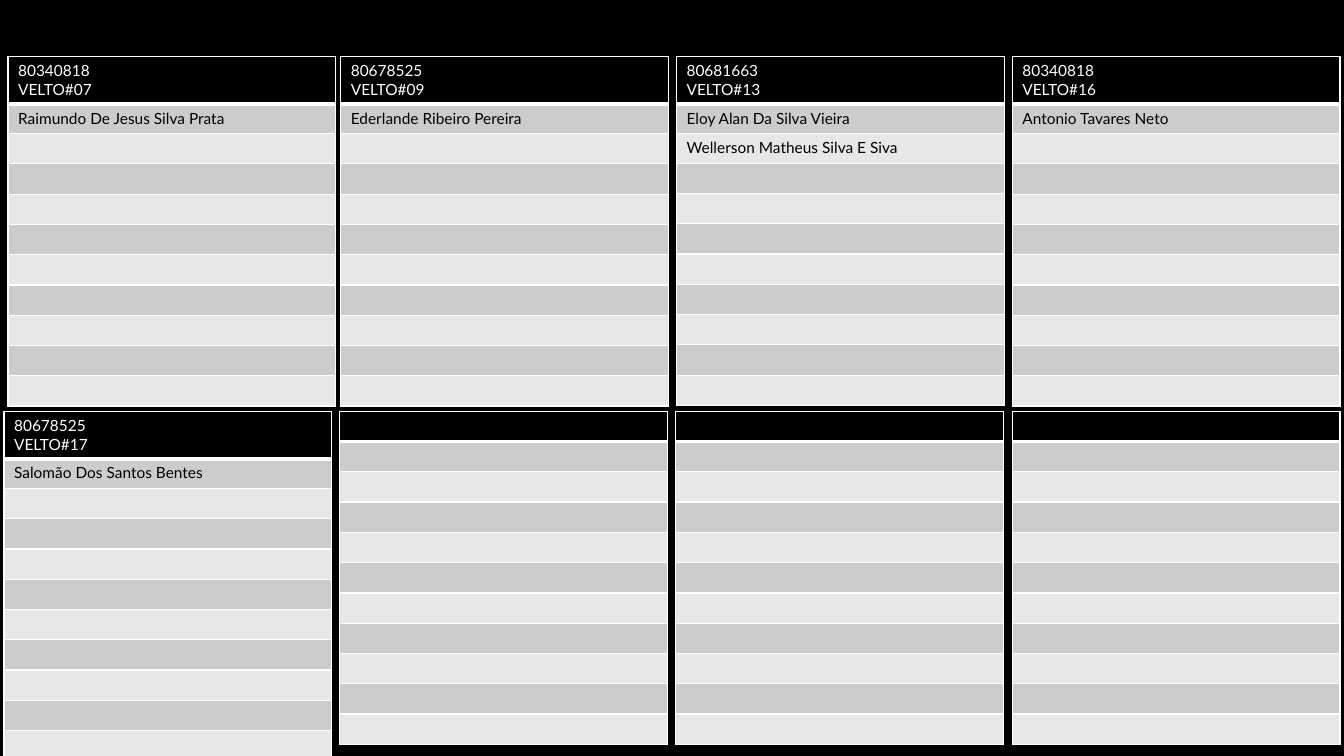
from lxml.etree import SubElement
from pptx import Presentation
from pptx.dml.color import RGBColor
from pptx.oxml import parse_xml
from pptx.oxml.ns import nsdecls, qn
from pptx.util import Inches, Pt

HUES = {"black": "000000", "white": "FFFFFF", "dark": "CCCCCC", "light": "E7E7E7"}
FACE = {"name": "Lato", "size": Pt(11), "bold": False}
FLAGS = {"first_row": False, "horz_banding": False}
ROWS, WIDTH, HEIGHT = 11, 3.25, 3.24

# Left, top, header lines and names of each table
CARDS = [
    (0.08, 0.56, ["80340818", "VELTO#07"], ["Raimundo De Jesus Silva Prata"]),
    (3.38, 0.56, ["80678525", "VELTO#09"], ["Ederlande Ribeiro Pereira"]),
    (6.71, 0.56, ["80681663", "VELTO#13"],
     ["Eloy Alan Da Silva Vieira", "Wellerson Matheus Silva E Siva"]),
    (10.04, 0.56, ["80340818", "VELTO#16"], ["Antonio Tavares Neto"]),
    (0.04, 4.08, ["80678525", "VELTO#17"], ["Salomão Dos Santos Bentes"]),
    (3.37, 4.08, [], []),
    (6.7, 4.08, [], []),
    (10.04, 4.08, [], []),
]


def write(cell, lines, hue):
    """Fill a cell with lines, or size its empty line at 12 pt."""
    frame = cell.text_frame
    frame.text = "\n".join(lines)
    for para in frame.paragraphs:
        for run in para.runs:
            for key, value in FACE.items():
                setattr(run.font, key, value)
            run.font.color.rgb = RGBColor.from_string(HUES[hue])
    if not lines:
        end = SubElement(frame.paragraphs[0]._p, qn("a:endParaRPr"), sz="1200")
        SubElement(end, qn("a:latin"), typeface=FACE["name"])


def edge(cell, base):
    """Draw white borders, the bottom one base points wide."""
    props = cell._tc.get_or_add_tcPr()
    for spot, (side, wide) in enumerate(zip("LRTB", (1, 1, 1, base))):
        props.insert(spot, parse_xml(
            f'<a:ln{side} {nsdecls("a")} w="{Pt(wide)}"><a:solidFill>'
            f'<a:srgbClr val="{HUES["white"]}"/></a:solidFill></a:ln{side}>'))


# Slide with black background
deck = Presentation()
deck.slide_width, deck.slide_height = Inches(13.33), Inches(7.5)
slide = deck.slides.add_slide(deck.slide_layouts[6])
back = slide.background.fill
back.solid()
back.fore_color.rgb = RGBColor.from_string(HUES["black"])

# One table per machine, header on top and striped rows below
for left, top, head, names in CARDS:
    table = slide.shapes.add_table(
        ROWS, 1, Inches(left), Inches(top), Inches(WIDTH), Inches(HEIGHT)).table
    for key, value in FLAGS.items():
        setattr(table, key, value)
    for row in range(ROWS):
        table.rows[row].height = Inches(HEIGHT / ROWS)
        cell = table.cell(row, 0)
        fill = "black" if row == 0 else "dark" if row % 2 else "light"
        cell.fill.solid()
        cell.fill.fore_color.rgb = RGBColor.from_string(HUES[fill])
        edge(cell, 1 if row else 3)
        if row == 0:
            write(cell, head, "white")
        else:
            write(cell, names[row - 1:row], "black")

deck.save("out.pptx")
